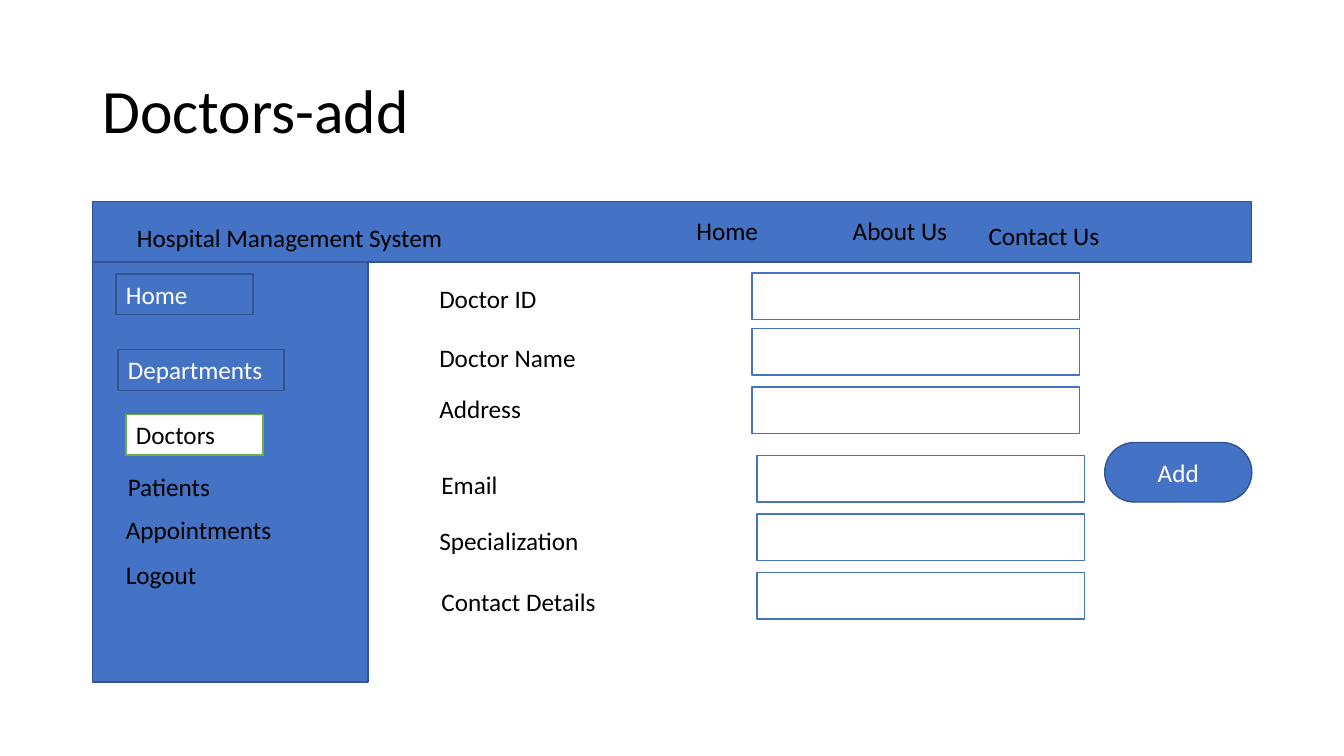
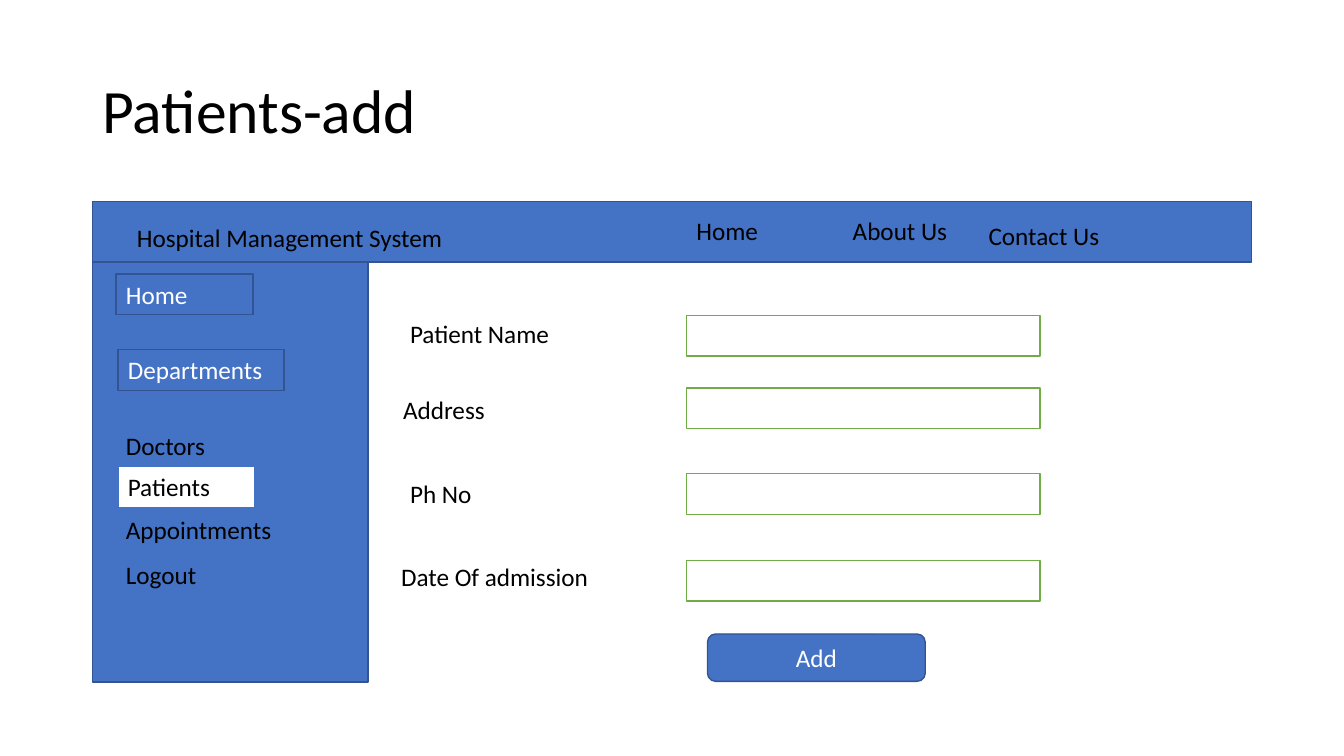
from dataclasses import dataclass

from pptx import Presentation
from pptx.dml.color import RGBColor
from pptx.enum.shapes import MSO_SHAPE
from pptx.enum.text import MSO_ANCHOR, PP_ALIGN
from pptx.util import Pt

RECTANGLE = MSO_SHAPE.RECTANGLE
ROUNDED = MSO_SHAPE.ROUNDED_RECTANGLE
TOP, MIDDLE = MSO_ANCHOR.TOP, MSO_ANCHOR.MIDDLE
LEFT, CENTER = PP_ALIGN.LEFT, PP_ALIGN.CENTER


@dataclass(frozen=True)
class Theme:
    """Colours, font and type sizes shared by the slides."""
    blue: str = "4472C4"
    navy: str = "325491"
    green: str = "70AD47"
    white: str = "FFFFFF"
    black: str = "000000"
    font: str = "Calibri"
    title_size: int = 44
    body_size: int = 18
    line_width: int = 1


THEME = Theme()
ROW_HEIGHT = 29
TITLE_AREA = (66, 28.8, 828, 104.4)
HEADER_AREA = (66, 144, 828, 43.2)
SIDEBAR_AREA = (66, 187.2, 196.8, 300)

# Text, left, top, width
HEADER_ITEMS = [
    ("Hospital Management System", 90.7, 155.5, 241.2),
    ("Home", 490.3, 150.5, 98),
    ("About Us", 602, 150.5, 98),
    ("Contact Us", 699, 154, 129),
]
MENU_ITEMS = [
    ("Home", 82.8, 195.8, 98),
    ("Departments", 84.2, 249.8, 118.8),
    ("Doctors", 82.8, 303.8, 98),
    ("Patients", 84.2, 333.4, 98),
    ("Appointments", 82.8, 363.6, 131.8),
    ("Logout", 82.8, 396, 98),
]
BOXED_ITEMS = ("Home", "Departments")

# Each field: label, label left, label top, input left, input top
SCREENS = [
    {
        "title": "Doctors-add",
        "active": ("Doctors", 90, 296, 98),
        "active_line": THEME.green,
        "label_width": 184.3,
        "input_size": (234, 33.1),
        "input_line": THEME.blue,
        "fields": [
            ("Doctor ID", 306.7, 198.7, 537.1, 195.1),
            ("Doctor Name", 306.7, 241.2, 537.1, 234.7),
            ("Address", 306.7, 277.2, 537.1, 276.5),
            ("Email", 308.2, 331.9, 540.7, 325.4),
            ("Specialization", 306.7, 371.5, 540.7, 367.2),
            ("Contact Details", 308.2, 415.4, 540.7, 409),
        ],
        "button": (789.1, 316.1, 105.1, 42.5),
        "roundness": 0.5,
    },
    {
        "title": "Patients-add",
        "active": ("Patients", 84.2, 333.4, 98),
        "active_line": THEME.blue,
        "label_width": 159.8,
        "input_size": (252.7, ROW_HEIGHT),
        "input_line": THEME.green,
        "fields": [
            ("Patient Name", 285.8, 223.9, 490.3, 225.4),
            ("Address", 280.8, 277.9, 490.3, 277.2),
            ("Ph No", 285.8, 338.4, 490.3, 338.4),
            ("Date Of admission", 279.4, 397.4, 490.3, 400.3),
        ],
        "button": (505.4, 452.9, 155.5, 33.8),
        "roundness": 0.17,
    },
]


def write(shape, text, color=THEME.black, size=THEME.body_size,
          anchor=TOP, align=LEFT):
    """Set one styled paragraph in a shape and return it."""
    frame = shape.text_frame
    frame.word_wrap = True
    frame.vertical_anchor = anchor
    para = frame.paragraphs[0]
    para.text = text
    para.alignment = align
    para.font.name = THEME.font
    para.font.size = Pt(size)
    para.font.color.rgb = RGBColor.from_string(color)
    return para


def add_label(page, text, left, top, width):
    """Add one line of plain text."""
    box = page.shapes.add_textbox(*map(Pt, (left, top, width, ROW_HEIGHT)))
    write(box, text)


def add_panel(page, area, fill=THEME.blue, line=THEME.navy, kind=RECTANGLE):
    """Add a filled and outlined shape."""
    panel = page.shapes.add_shape(kind, *map(Pt, area))
    panel.shadow.inherit = False
    panel.fill.solid()
    panel.fill.fore_color.rgb = RGBColor.from_string(fill)
    panel.line.color.rgb = RGBColor.from_string(line)
    panel.line.width = Pt(THEME.line_width)
    return panel


def add_frame(page, title):
    """Add the title, header band and sidebar band."""
    box = page.shapes.add_textbox(*map(Pt, TITLE_AREA))
    para = write(box, title, size=THEME.title_size, anchor=MIDDLE)
    para.line_spacing = 0.9
    add_panel(page, HEADER_AREA)
    for item in HEADER_ITEMS:
        add_label(page, *item)
    add_panel(page, SIDEBAR_AREA)


def add_menu(page, active, active_line):
    """Add the sidebar entries, with the active one highlighted."""
    for item in MENU_ITEMS:
        text = item[0]
        if text == active[0]:
            panel = add_panel(page, (*active[1:], ROW_HEIGHT),
                              THEME.white, active_line)
            write(panel, text)
        elif text in BOXED_ITEMS:
            panel = add_panel(page, (*item[1:], ROW_HEIGHT))
            write(panel, text, THEME.white)
        else:
            add_label(page, *item)


def add_form(page, screen):
    """Add the labelled inputs and the button."""
    for text, left, top, input_left, input_top in screen["fields"]:
        add_label(page, text, left, top, screen["label_width"])
        add_panel(page, (input_left, input_top, *screen["input_size"]),
                  THEME.white, screen["input_line"])
    button = add_panel(page, screen["button"], kind=ROUNDED)
    button.adjustments[0] = screen["roundness"]
    write(button, "Add", THEME.white, anchor=MIDDLE, align=CENTER)


def build():
    """Build and save the deck."""
    deck = Presentation()
    deck.slide_width, deck.slide_height = Pt(960), Pt(540)
    blank = deck.slide_layouts[6]
    for screen in SCREENS:
        page = deck.slides.add_slide(blank)
        add_frame(page, screen["title"])
        add_menu(page, screen["active"], screen["active_line"])
        add_form(page, screen)
    deck.save("out.pptx")


build()
